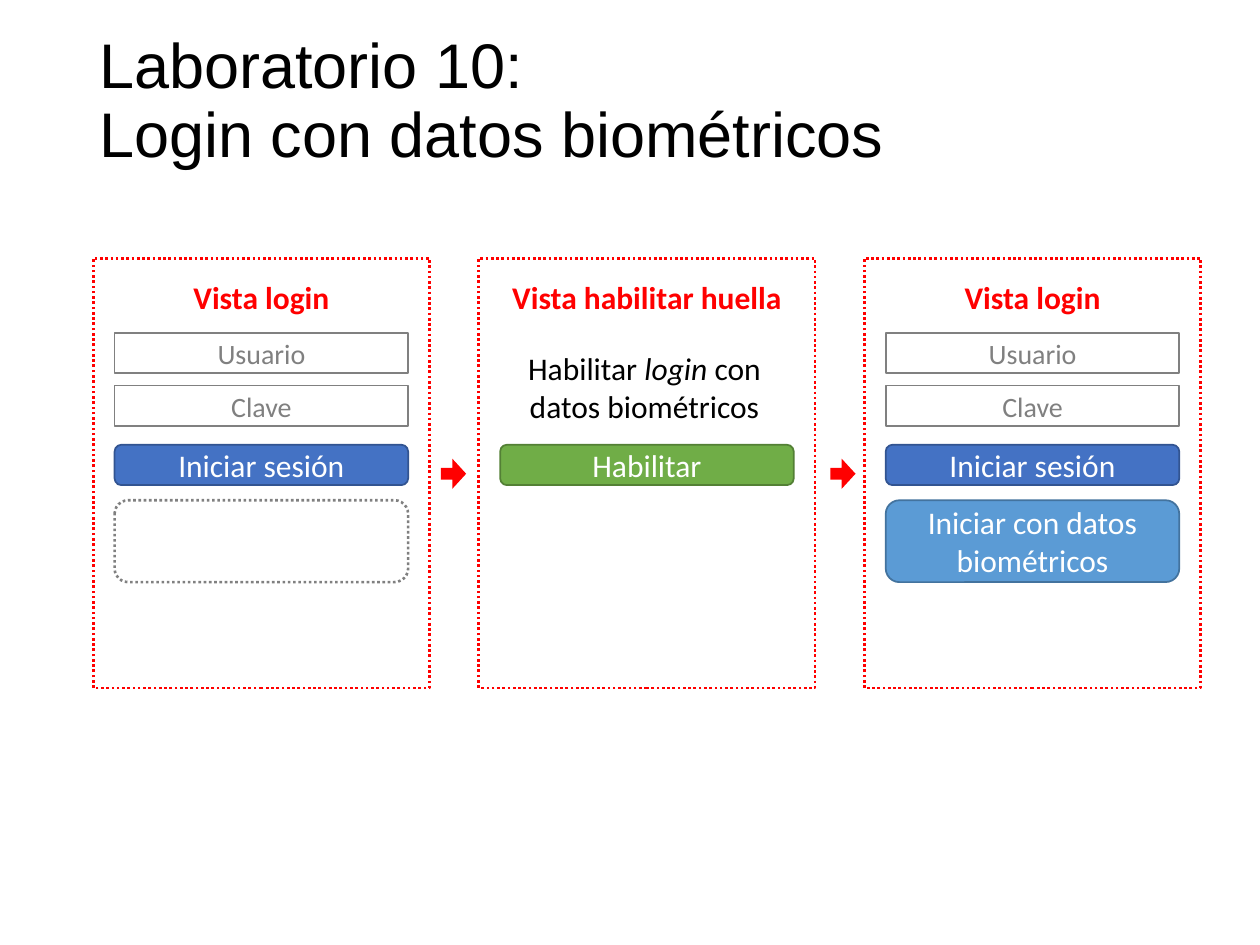
"""Build the slide with the three views of the biometric login lab."""
from pptx import Presentation
from pptx.dml.color import RGBColor
from pptx.enum.dml import MSO_LINE
from pptx.enum.shapes import MSO_SHAPE
from pptx.enum.text import MSO_ANCHOR, PP_ALIGN
from pptx.util import Inches, Pt

RECT = MSO_SHAPE.RECTANGLE
ROUND = MSO_SHAPE.ROUNDED_RECTANGLE
ARROW = MSO_SHAPE.RIGHT_ARROW
DOTS = MSO_LINE.ROUND_DOT
MIDDLE = MSO_ANCHOR.MIDDLE
CENTER = PP_ALIGN.CENTER

BLACK = RGBColor(0x00, 0x00, 0x00)
WHITE = RGBColor(0xFF, 0xFF, 0xFF)
RED = RGBColor(0xFF, 0x00, 0x00)
GRAY = RGBColor(0x80, 0x80, 0x80)
BLUE = RGBColor(0x44, 0x72, 0xC4)
NAVY = RGBColor(0x32, 0x54, 0x91)
GREEN = RGBColor(0x70, 0xAD, 0x47)
MOSS = RGBColor(0x53, 0x80, 0x35)
SKY = RGBColor(0x5B, 0x9B, 0xD5)
STEEL = RGBColor(0x43, 0x73, 0x9E)

prs = Presentation()
prs.slide_width = Inches(10)
prs.slide_height = Inches(7.5)
slide = prs.slides.add_slide(prs.slide_layouts[6])


def add_box(kind, x, y, w, h, fill, line=None, dots=False, text=""):
    box = slide.shapes.add_shape(kind, Inches(x), Inches(y), Inches(w), Inches(h))
    box.shadow.inherit = False
    box.fill.solid()
    box.fill.fore_color.rgb = fill
    if line is None:
        box.line.fill.background()
    else:
        box.line.color.rgb = line
        box.line.width = Pt(1.5 if dots else 1)
    if dots:
        box.line.dash_style = DOTS
    if text:
        box.text_frame.vertical_anchor = MIDDLE
        set_text(box.text_frame, [text], 18, WHITE)
    return box


def set_text(frame, parts, size, color, bold=False):
    para = frame.paragraphs[0]
    para.alignment = CENTER
    for part in parts:
        run = para.add_run()
        run.text = part
        run.font.name = "Calibri"
        run.font.size = Pt(size)
        run.font.color.rgb = color
        run.font.bold = bold
    return para


title = slide.shapes.add_textbox(Inches(0.69), Inches(0.13), Inches(6.48), Inches(1.37))
title.text_frame.word_wrap = True
title.text_frame.vertical_anchor = MIDDLE
head = title.text_frame.paragraphs[0]
head.text = "Laboratorio 10:\nLogin con datos biométricos"
head.line_spacing = 0.9
for run in head.runs:
    run.font.name = "Arial"
    run.font.size = Pt(36)
    run.font.color.rgb = BLACK

FIELDS = [("Usuario", 2.64, 0.91), ("Clave", 3.06, 0.69)]
VIEWS = [
    ("Vista login", 1.29, FIELDS, "Iniciar sesión", BLUE, NAVY),
    ("Vista habilitar huella", 2.36, [], "Habilitar", GREEN, MOSS),
    ("Vista login", 1.29, FIELDS, "Iniciar sesión", BLUE, NAVY),
]
LEFT, STEP, WIDE, PAD = 0.74, 3.06, 2.67, 0.17
INNER = WIDE - 2 * PAD

for i, (name, span, fields, action, fill, line) in enumerate(VIEWS):
    x = LEFT + i * STEP
    mid = x + WIDE / 2
    add_box(RECT, x, 2.05, WIDE, 3.41, WHITE, RED, True)
    for _, y, _ in fields:
        add_box(RECT, x + PAD, y, INNER, 0.32, WHITE, GRAY)
    add_box(ROUND, x + PAD, 3.53, INNER, 0.32, fill, line, text=action)
    labels = [(name, 2.16, span, 0.4, 18, RED, True)]
    labels += [(word, y - 0.02, w, 0.37, 16, GRAY, False) for word, y, w in fields]
    for word, y, w, h, size, color, bold in labels:
        label = slide.shapes.add_textbox(Inches(mid - w / 2), Inches(y), Inches(w), Inches(h))
        label.text_frame.word_wrap = False
        set_text(label.text_frame, [word], size, color, bold)

note = slide.shapes.add_textbox(Inches(3.93), Inches(2.72), Inches(2.37), Inches(0.71))
note.text_frame.word_wrap = True
para = set_text(note.text_frame, ["Habilitar ", "login", " con datos biométricos"], 18, BLACK)
para.runs[1].font.italic = True

add_box(ROUND, LEFT + PAD, 3.97, INNER, 0.65, WHITE, GRAY, True)
add_box(ROUND, LEFT + 2 * STEP + PAD, 3.97, INNER, 0.65, SKY, STEEL,
        text="Iniciar con datos biométricos")

for x in (3.5, 6.59):
    arrow = add_box(ARROW, x, 3.64, 0.2, 0.24, RED)
    arrow.adjustments[0] = 0.39
    arrow.adjustments[1] = 0.55

prs.save("out.pptx")
